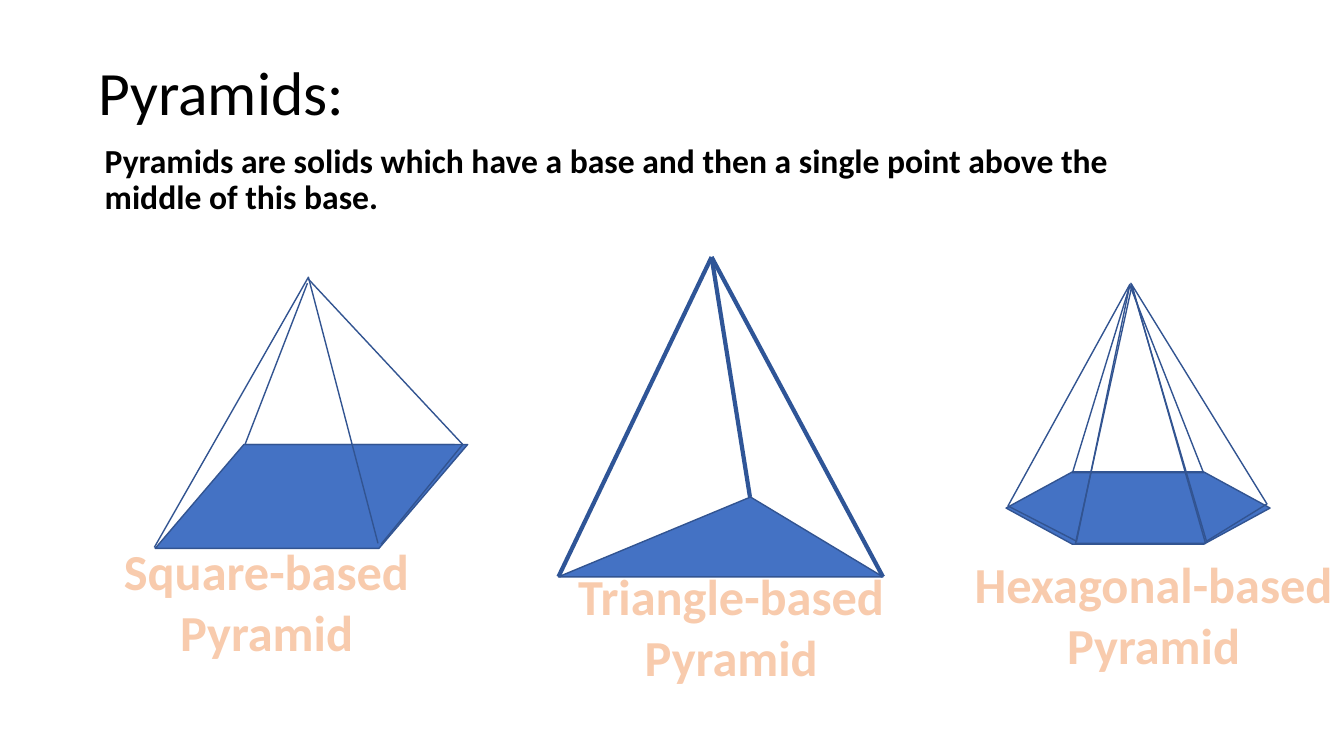
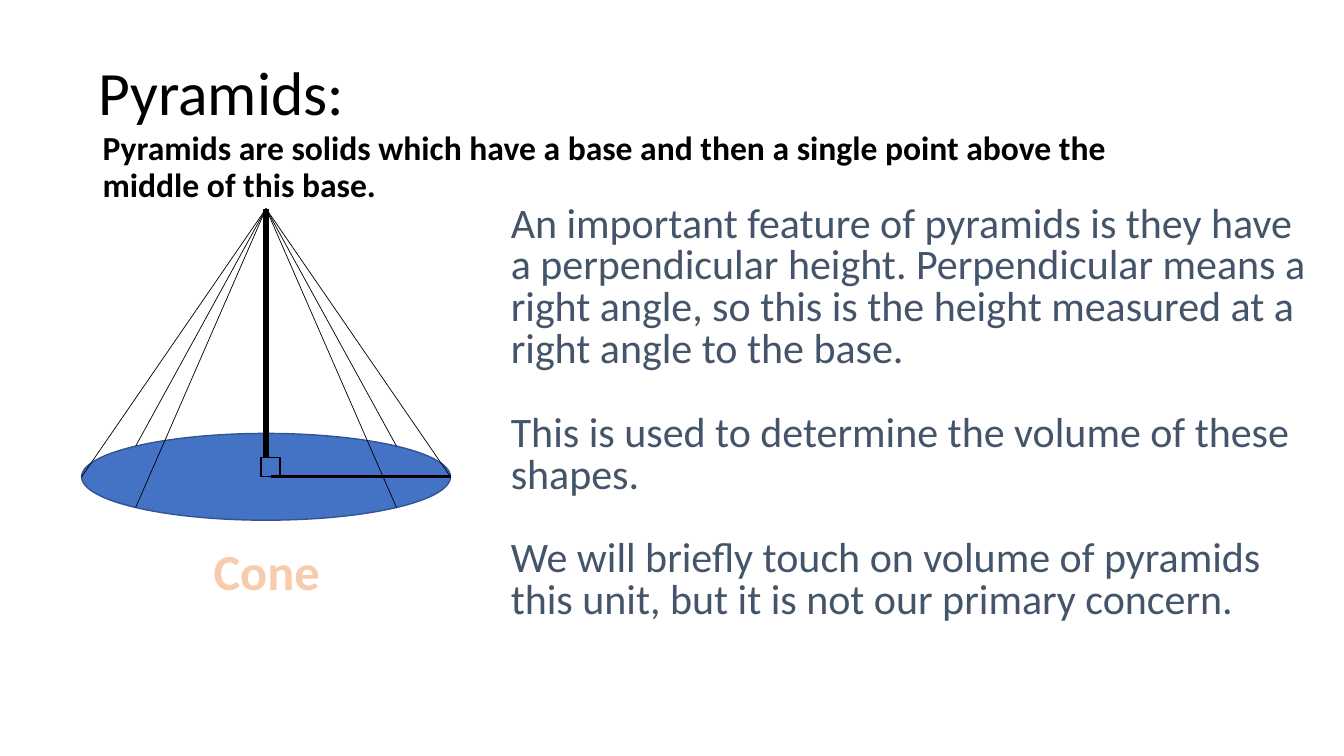
from dataclasses import dataclass
from math import cos, radians, sin

from lxml.etree import SubElement
from pptx import Presentation
from pptx.dml.color import RGBColor
from pptx.enum.shapes import MSO_CONNECTOR, MSO_SHAPE
from pptx.enum.text import MSO_ANCHOR, MSO_AUTO_SIZE, PP_ALIGN
from pptx.oxml import parse_xml
from pptx.oxml.ns import nsdecls, qn
from pptx.util import Pt

# Shared style
FONT = "Calibri"
BLACK = "000000"
BASE_FILL = "4472C4"
BASE_LINE = "325491"
EDGE = "2F5597"
CAPTION = "F8CBAD"
CAPTION_OUTLINE = "ED7D31"
BODY = "44546A"

Point = tuple[float, float]

INTRO = ("Pyramids are solids which have a base and then a single point "
         "above the middle of this base.")
EXPLANATION = [
    "An important feature of pyramids is they have a perpendicular height. "
    "Perpendicular means a right angle, so this is the height measured at a "
    "right angle to the base.",
    "This is used to determine the volume of these shapes.",
    "We will briefly touch on volume of pyramids this unit, but it is not "
    "our primary concern.",
]


@dataclass(frozen=True)
class Area:
    left: float
    top: float
    width: float
    height: float

    def lengths(self):
        return Pt(self.left), Pt(self.top), Pt(self.width), Pt(self.height)


@dataclass(frozen=True)
class TextStyle:
    size: float
    color: str
    bold: bool = False
    spacing: float = 1.0
    gap: float = 0
    align: PP_ALIGN = PP_ALIGN.LEFT


@dataclass(frozen=True)
class Face:
    points: list[Point]
    closed: bool


TITLE_STYLE = TextStyle(44, BLACK, spacing=0.9)
INTRO_STYLE = TextStyle(24, BLACK, bold=True, spacing=0.9)
CAPTION_STYLE = TextStyle(36, CAPTION, bold=True, align=PP_ALIGN.CENTER)
BODY_STYLE = TextStyle(30, BODY, spacing=0.83, gap=30)

# Faces drawn over the bases
SQUARE_FACES = [
    Face([(110.2, 391), (220.3, 198), (270, 388.1)], False),
    Face([(220.3, 199.4), (330.5, 317.5), (272.2, 388.8)], False),
    Face([(219.6, 202.3), (175, 317.5), (324.7, 317.5)], False),
]
HEXAGON_FACES = [
    Face([(768.2, 388.1), (861.1, 388.1), (808.6, 203.8)], True),
    Face([(720, 361.4), (807.1, 203), (769, 386.6)], True),
    Face([(807.8, 202.3), (861.8, 386.6), (905, 360)], True),
    Face([(807.1, 203.8), (766.1, 337.7), (859.7, 337.7)], True),
]


def rgb(color: str) -> RGBColor:
    return RGBColor.from_string(color)


def write(frame, texts: list[str], style: TextStyle) -> None:
    for index, text in enumerate(texts):
        para = frame.paragraphs[0] if index == 0 else frame.add_paragraph()
        para.alignment = style.align
        para.line_spacing = style.spacing
        para.space_before = Pt(style.gap if index else 0)
        span = para.add_run()
        span.text = text
        span.font.name = FONT
        span.font.size = Pt(style.size)
        span.font.bold = style.bold
        span.font.color.rgb = rgb(style.color)


def add_text(page, area: Area, texts: list[str], style: TextStyle):
    box = page.shapes.add_textbox(*area.lengths())
    box.text_frame.word_wrap = True
    write(box.text_frame, texts, style)
    return box


def add_caption(page, left: float, top: float, text: str, lines: int = 2) -> None:
    area = Area(left, top, 301.7, 7.2 + 43.6 * lines)
    box = add_text(page, area, [text], CAPTION_STYLE)
    box.text_frame.auto_size = MSO_AUTO_SIZE.SHAPE_TO_FIT_TEXT
    span = box.text_frame.paragraphs[0].runs[0]
    outline = parse_xml(
        f'<a:ln {nsdecls("a")} w="{Pt(1.75)}"><a:solidFill>'
        f'<a:srgbClr val="{CAPTION_OUTLINE}"/></a:solidFill></a:ln>')
    span.font._element.insert(0, outline)


def add_base(page, kind: MSO_SHAPE, area: Area, adjust: float | None = None,
             line: str = BASE_LINE):
    shape = page.shapes.add_shape(kind, *area.lengths())
    shape.shadow.inherit = False
    if adjust is not None:
        shape.adjustments[0] = adjust
    shape.fill.solid()
    shape.fill.fore_color.rgb = rgb(BASE_FILL)
    shape.line.color.rgb = rgb(line)
    shape.line.width = Pt(1)
    return shape


def add_face(page, face: Face) -> None:
    corners = [(Pt(x), Pt(y)) for x, y in face.points]
    builder = page.shapes.build_freeform(*corners[0])
    builder.add_line_segments(corners[1:], close=face.closed)
    shape = builder.convert_to_shape()
    shape.shadow.inherit = False
    shape.fill.background()
    shape.line.color.rgb = rgb(BASE_LINE)
    shape.line.width = Pt(1)


def add_line(page, start: Point, end: Point, color: str, width: float):
    line = page.shapes.add_connector(
        MSO_CONNECTOR.STRAIGHT, *(Pt(value) for value in (*start, *end)))
    line.line.color.rgb = rgb(color)
    line.line.width = Pt(width)
    SubElement(line._element.spPr, qn("a:effectLst"))
    return line


def add_page(deck, intro_left: float, intro_top: float):
    page = deck.slides.add_slide(deck.slide_layouts[5])
    title = page.shapes.title
    title.left, title.top, title.width, title.height = Area(
        63, 10, 756, 117).lengths()
    frame = title.text_frame
    frame.vertical_anchor = MSO_ANCHOR.MIDDLE
    frame.auto_size = MSO_AUTO_SIZE.NONE
    write(frame, ["Pyramids:"], TITLE_STYLE)
    add_text(page, Area(intro_left, intro_top, 762.5, 117), [INTRO], INTRO_STYLE)
    return page


def build_pyramids(deck) -> None:
    page = add_page(deck, 67.7, 99.4)

    # Square base
    add_base(page, MSO_SHAPE.PARALLELOGRAM, Area(110.9, 317.5, 223.2, 74.2), 0.854)
    for face in SQUARE_FACES:
        add_face(page, face)

    # Triangle base
    add_base(page, MSO_SHAPE.ISOSCELES_TRIANGLE, Area(398.9, 355, 231.8, 57), 0.592)
    for corner in [(398.9, 412), (535.7, 355), (630.7, 412)]:
        add_line(page, corner, (508.3, 183.6), EDGE, 3)

    # Hexagon base
    add_base(page, MSO_SHAPE.HEXAGON, Area(718.6, 337, 188.6, 51.8), 0.917)
    for face in HEXAGON_FACES:
        add_face(page, face)

    add_caption(page, 39.6, 382.3, "Square-based Pyramid")
    add_caption(page, 371.5, 400.3, "Triangle-based Pyramid")
    add_caption(page, 673.2, 391.7, "Hexagonal-based Pyramid")


def build_cone(deck) -> None:
    page = add_page(deck, 66.2, 90.7)
    add_caption(page, 39.6, 382.3, "Cone", lines=1)

    # Cone base with edges from the rim to the apex
    base = Area(58.3, 309.6, 263.5, 62)
    center_x = base.left + base.width / 2
    center_y = base.top + base.height / 2
    apex = (center_x, 149)
    add_base(page, MSO_SHAPE.OVAL, base)
    for angle in (0, 45, 135, 180, 225, 315):
        rim = (center_x + base.width / 2 * cos(radians(angle)),
               center_y + base.height / 2 * sin(radians(angle)))
        add_line(page, rim, apex, BLACK, 0.5)

    add_text(page, Area(357.8, 142.6, 588.2, 117), EXPLANATION, BODY_STYLE)

    # Perpendicular height, right-angle mark and radius
    add_line(page, (center_x, center_y), apex, BLACK, 4.5)
    side = 13.7
    mark = add_base(page, MSO_SHAPE.RECTANGLE,
                    Area(186.4, center_y - side, side, side), line=BLACK)
    radius = add_line(page, (186.4 + side / 2, center_y),
                      (base.left + base.width, center_y), BLACK, 2.25)
    radius.begin_connect(mark, 2)


def main() -> None:
    deck = Presentation()
    deck.slide_width, deck.slide_height = Pt(960), Pt(540)
    build_pyramids(deck)
    build_cone(deck)
    deck.save("out.pptx")


if __name__ == "__main__":
    main()
